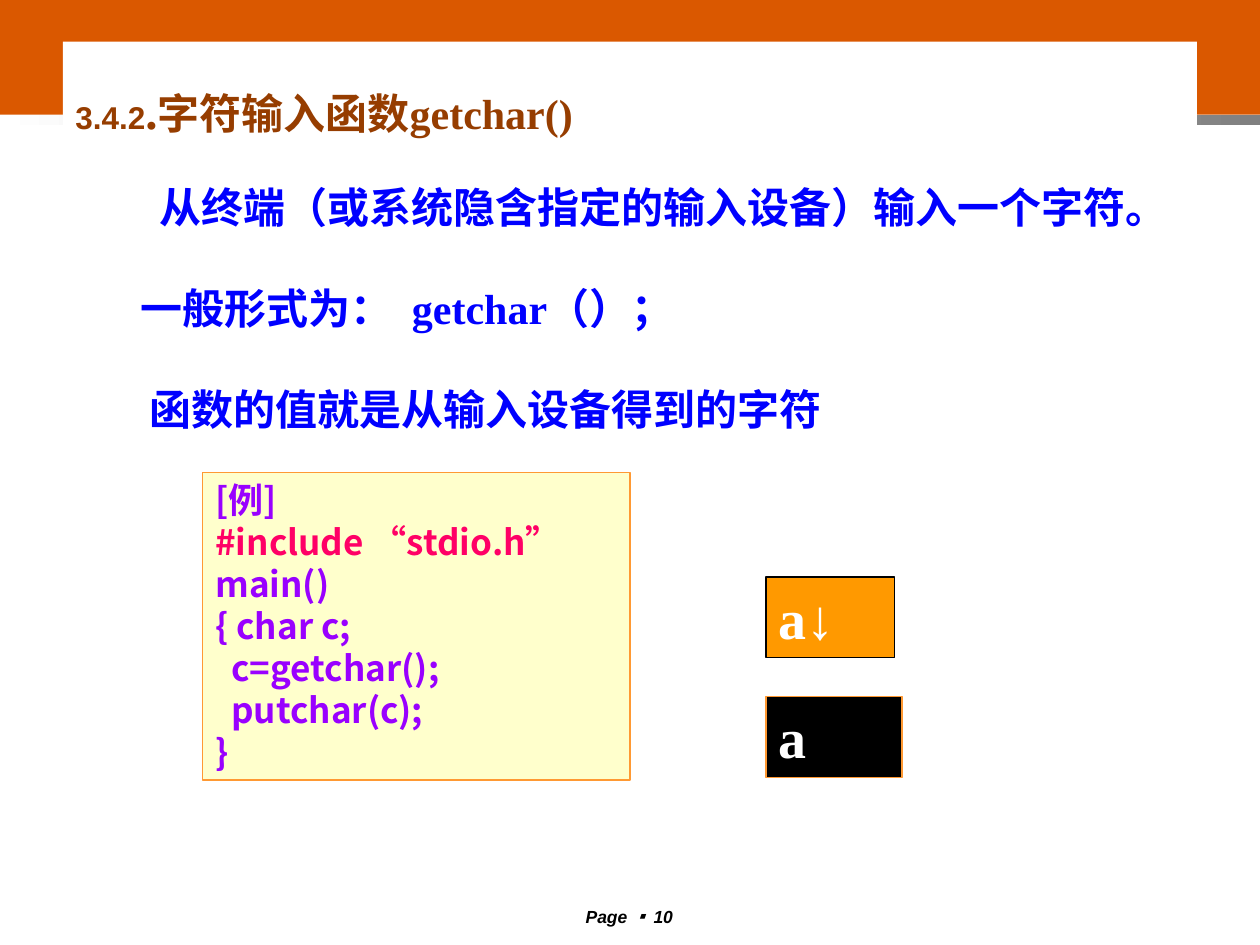
from dataclasses import dataclass

from pptx import Presentation
from pptx import util as u
from pptx.dml.color import RGBColor
from pptx.enum import shapes, text
from pptx.oxml.ns import qn


@dataclass(frozen=True)
class Theme:
    orange: str = "DA5800"
    gray: str = "808080"
    white: str = "FFFFFF"
    black: str = "000000"
    brown: str = "963D00"
    blue: str = "0000FF"
    purple: str = "9900FF"
    pink: str = "FF0066"
    cream: str = "FFFFCC"
    amber: str = "FF9900"
    edge: str = "FF9933"
    sans: str = "Arial"
    serif: str = "Times New Roman"
    cjk: str = "Noto Sans CJK SC"
    symbol: str = "Noto Sans CJK JP"
    page: int = 10
    number: int = 18
    code: int = 20
    body: int = 24
    dot: int = 28
    screen: int = 32


T = Theme()
W, H = 10, 7.5

prs = Presentation()
prs.slide_width, prs.slide_height = u.Inches(W), u.Inches(H)
s = prs.slides.add_slide(prs.slide_layouts[6])


def add_box(x, y, w, h, fill, line=None):
    """Add a plain rectangle, measured in inches, with top-left text."""
    sp = s.shapes.add_shape(shapes.MSO_SHAPE.RECTANGLE, *map(u.Inches, (x, y, w, h)))
    sp.shadow.inherit = False
    sp.fill.solid()
    sp.fill.fore_color.rgb = RGBColor.from_string(fill)
    if line:
        sp.line.color.rgb = RGBColor.from_string(line)
        sp.line.width = u.Pt(0.75)
    else:
        sp.line.fill.background()
    sp.text_frame.vertical_anchor = text.MSO_ANCHOR.TOP
    sp.text_frame.paragraphs[0].alignment = text.PP_ALIGN.LEFT
    return sp


def add_run(p, words, size, color, font, east=T.cjk):
    r = p.add_run()
    r.text = words
    r.font.size, r.font.bold, r.font.name = u.Pt(size), True, font
    r.font.color.rgb = RGBColor.from_string(color)
    ea = r.font._element.makeelement(qn("a:ea"), {"typeface": east})
    r.font._element.find(qn("a:latin")).addnext(ea)
    return r


# Header band and the fading strip under it
band = 0.91
add_box(0, 0, W, band, T.orange)
strip = add_box(0, band, W, 0.08, T.gray)
strip.fill.gradient()
strip.fill.gradient_angle = 180
for stop, place, color in zip(strip.fill.gradient_stops, (0, 1), (T.gray, T.white)):
    stop.position = place
    stop.color.rgb = RGBColor.from_string(color)

# Page number
sp = s.shapes.add_textbox(*map(u.Inches, (4.21, 7.14, 1.57, 0.22)))
sp.text_frame.word_wrap = True
p = sp.text_frame.paragraphs[0]
p.alignment = text.PP_ALIGN.CENTER
for words, font in (("Page ", T.sans), ("▪ ", T.symbol), ("10", T.sans)):
    add_run(p, words, T.page, T.black, font, font).font.italic = True

# White panel with heading and explanation
margin = W / 20
tf = add_box(margin, 0.33, W - 2 * margin, 3.9, T.white).text_frame
tf.margin_top = u.Inches(0.31)
p = tf.paragraphs[0]
add_run(p, "3.4.2", T.number, T.brown, T.sans)
add_run(p, ".", T.dot, T.brown, T.serif)
add_run(p, "字符输入函数getchar()", T.body, T.brown, T.serif)
for words, indent, gap in (
    ("从终端（或系统隐含指定的输入设备）输入一个字符。", 0.67, 24),
    ("一般形式为：  getchar（）；", 0.52, 29),
    ("函数的值就是从输入设备得到的字符", 0.59, 29),
):
    p = tf.add_paragraph()
    p.alignment = text.PP_ALIGN.LEFT
    p.space_before = u.Pt(gap)
    p._p.get_or_add_pPr().set("marL", str(u.Inches(indent)))
    add_run(p, words, T.body, T.blue, T.serif)

# Example program
code = """[例]
#include “stdio.h”
main()
{ char c;
  c=getchar();
  putchar(c);
}"""
tf = add_box(1.61, 3.75, 3.39, 2.44, T.cream, T.edge).text_frame
for i, words in enumerate(code.split("\n")):
    p = tf.add_paragraph() if i else tf.paragraphs[0]
    p.alignment = text.PP_ALIGN.LEFT
    color = T.pink if words.startswith("#") else T.purple
    add_run(p, words, T.code, color, T.cjk)

# Typed input and the output it gives
for words, y, w, fill, line in (
    ("a", 5.53, 1.08, T.black, T.edge),
    ("a↓", 4.58, 1.02, T.amber, T.black),
):
    sp = add_box(6.08, y, w, 0.64, fill, line)
    add_run(sp.text_frame.paragraphs[0], words, T.screen, T.white, T.serif, T.serif)

prs.save("out.pptx")
